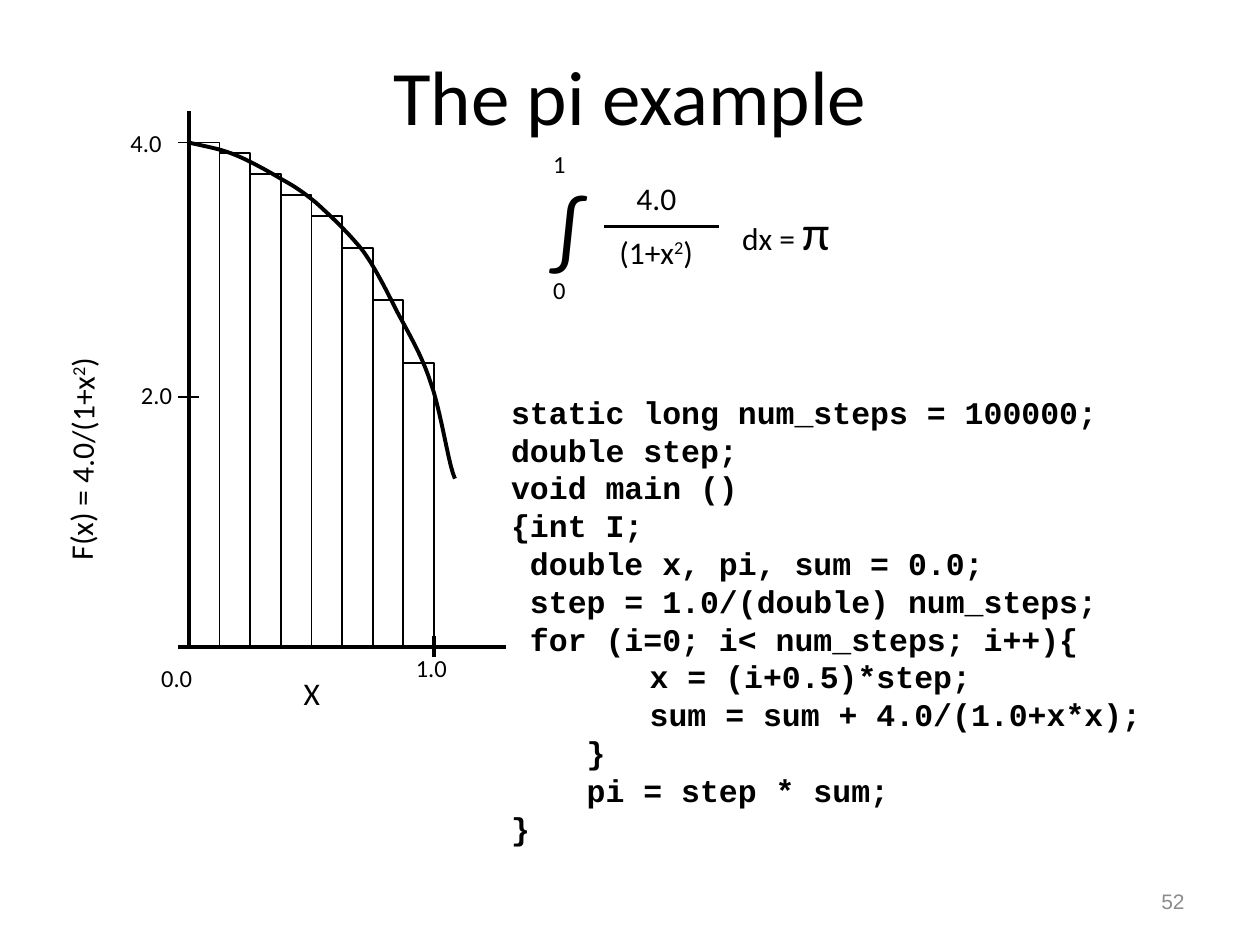
"""Build the slide that computes pi by numerical integration."""
from dataclasses import dataclass

from lxml.etree import SubElement
from pptx import Presentation
from pptx.dml.color import RGBColor
from pptx.enum.shapes import MSO_CONNECTOR, MSO_SHAPE
from pptx.enum.text import MSO_ANCHOR, PP_ALIGN
from pptx.oxml.ns import qn
from pptx.util import Pt


@dataclass(frozen=True)
class Theme:
    ink: RGBColor = RGBColor(0x00, 0x00, 0x00)
    muted: RGBColor = RGBColor(0x8C, 0x8C, 0x8C)
    body_font: str = "Calibri"
    code_font: str = "Courier New"
    number_font: str = "Arial"
    title: int = 44
    integral: int = 48
    symbol: int = 28
    text: int = 18
    label: int = 14
    number: int = 12
    thin: float = 1
    medium: float = 1.5
    thick: float = 2.25


theme = Theme()
presentation = Presentation()
presentation.slide_width = Pt(720)
presentation.slide_height = Pt(540)
slide = presentation.slides.add_slide(presentation.slide_layouts[5])


def add_text(text, box, size, font=theme.body_font, color=theme.ink,
             align=PP_ALIGN.LEFT, bold=False):
    shape = slide.shapes.add_textbox(*map(Pt, box))
    shape.text_frame.word_wrap = True
    shape.text_frame.text = text
    for paragraph in shape.text_frame.paragraphs:
        paragraph.alignment = align
        for run in paragraph.runs:
            run.font.name = font
            run.font.size = Pt(size)
            run.font.bold = bold
            run.font.color.rgb = color
    return shape


def add_line(start_x, start_y, end_x, end_y, width):
    line = slide.shapes.add_connector(
        MSO_CONNECTOR.STRAIGHT, Pt(start_x), Pt(start_y), Pt(end_x), Pt(end_y))
    line.line.color.rgb = theme.ink
    line.line.width = Pt(width)
    SubElement(line._element.spPr, qn("a:effectLst"))


title = slide.shapes.title
title.left, title.top, title.width, title.height = map(Pt, (36, 9, 648, 90))
title.text_frame.text = "The pi example"
title.text_frame.vertical_anchor = MSO_ANCHOR.MIDDLE
title_paragraph = title.text_frame.paragraphs[0]
title_paragraph.alignment = PP_ALIGN.CENTER
title_font = title_paragraph.runs[0].font
title_font.name = theme.body_font
title_font.size = Pt(theme.title)
title_font.color.rgb = theme.ink

page_number = add_text("52", (516, 500.5, 168, 28.75), theme.number,
                       theme.number_font, theme.muted, PP_ALIGN.RIGHT)
page_number.text_frame.vertical_anchor = MSO_ANCHOR.MIDDLE

code = """static long num_steps = 100000;
double step;
void main ()
{int I;
 double x, pi, sum = 0.0;
 step = 1.0/(double) num_steps;
 for (i=0; i< num_steps; i++){
\t    x = (i+0.5)*step;
\t    sum = sum + 4.0/(1.0+x*x);
    }
    pi = step * sum;
}"""
listing = add_text(code, (285, 221, 424, 269), theme.text, theme.code_font, bold=True)
for paragraph in listing.text_frame.paragraphs:
    paragraph._p.get_or_add_pPr().set("defTabSz", str(Pt(36)))

add_text("∫", (309, 97.5, 30, 65), theme.integral)
add_text("4.0", (330, 98.5, 90, 31), theme.text, align=PP_ALIGN.CENTER)
denominator = add_text("(1+x", (324, 129.5, 102, 31), theme.text, align=PP_ALIGN.CENTER)
add_line(345, 129.5, 411, 129.5, theme.medium)
equation = add_text("dx = ", (417, 111.5, 126, 41), theme.text)
pi_run = equation.text_frame.paragraphs[0].add_run()
pi_run.text = "π"
pi_run.font.name = theme.body_font
pi_run.font.size = Pt(theme.symbol)
pi_run.font.color.rgb = theme.ink

origin_x, origin_y, bar_width = 108, 369.5, 17.5
bar_tops = (81.5, 87.5, 99.5, 111.5, 123.5, 141.5, 171.5, 207.5)
for index, top in enumerate(bar_tops):
    bar = slide.shapes.add_shape(
        MSO_SHAPE.RECTANGLE, Pt(origin_x + index * bar_width), Pt(top),
        Pt(bar_width), Pt(origin_y - top))
    bar.shadow.inherit = False
    bar.fill.background()
    bar.line.color.rgb = theme.ink
    bar.line.width = Pt(theme.thin)

add_line(origin_x, 63.5, origin_x, origin_y, theme.thick)
for tick_y in (81.5, 227):
    add_line(origin_x - 6, tick_y, origin_x + 6, tick_y, theme.thin)
add_line(289, origin_y, origin_x - 6, origin_y, theme.thick)
add_line(248, origin_y - 6, 248, origin_y + 6, theme.thick)

curve_start = (108, 81.5)
curve_segments = (
    ((116.6, 83.5), (126, 85), (134.6, 88.6)),
    ((143.3, 92.2), (153.4, 97.9), (160.6, 102.2)),
    ((168.5, 106.6), (172.8, 109.4), (180.7, 115.9)),
    ((188.6, 123.1), (199.4, 133.2), (207.4, 143.3)),
    ((214.6, 153.4), (220.3, 164.9), (226.8, 177.8)),
    ((233.3, 190.1), (241.2, 203), (246.2, 218.9)),
    ((252, 234.7), (256.3, 265.7), (260, 273.5)),
)
samples = 10
curve_points = []
segment_start = curve_start
for first, second, end in curve_segments:
    for step in range(1, samples + 1):
        t = step / samples
        weights = ((1 - t) ** 3, 3 * t * (1 - t) ** 2, 3 * t ** 2 * (1 - t), t ** 3)
        controls = (segment_start, first, second, end)
        curve_points.append(tuple(
            Pt(sum(weight * point[axis] for weight, point in zip(weights, controls)))
            for axis in (0, 1)))
    segment_start = end
builder = slide.shapes.build_freeform(*map(Pt, curve_start))
builder.add_line_segments(curve_points, close=False)
curve = builder.convert_to_shape()
curve.shadow.inherit = False
curve.fill.background()
curve.line.color.rgb = theme.ink
curve.line.width = Pt(theme.thick)

axis_title = add_text("F(x) = 4.0/(1+x", (-36.5, 228, 168, 30.5), theme.text)
axis_title.rotation = 270.5
for shape in (denominator, axis_title):
    for text, baseline in (("2", 30000), (")", 0)):
        run = shape.text_frame.paragraphs[0].add_run()
        run.text = text
        run.font.name = theme.body_font
        run.font.size = Pt(theme.text)
        run.font.color.rgb = theme.ink
        run._r.get_or_add_rPr().set("baseline", str(baseline))

labels = (
    ("0", 309, 153.5), ("1", 309, 81.5), ("4.0", 67.5, 69.5), ("2.0", 73.5, 213.5),
    ("1.0", 230.5, 369.5), ("0.0", 85, 375.5),
)
for text, left, top in labels:
    add_text(text, (left, top, 35.5, 24), theme.label)
add_text("X", (166.5, 381.5, 35.5, 31), theme.text)

presentation.save("out.pptx")
